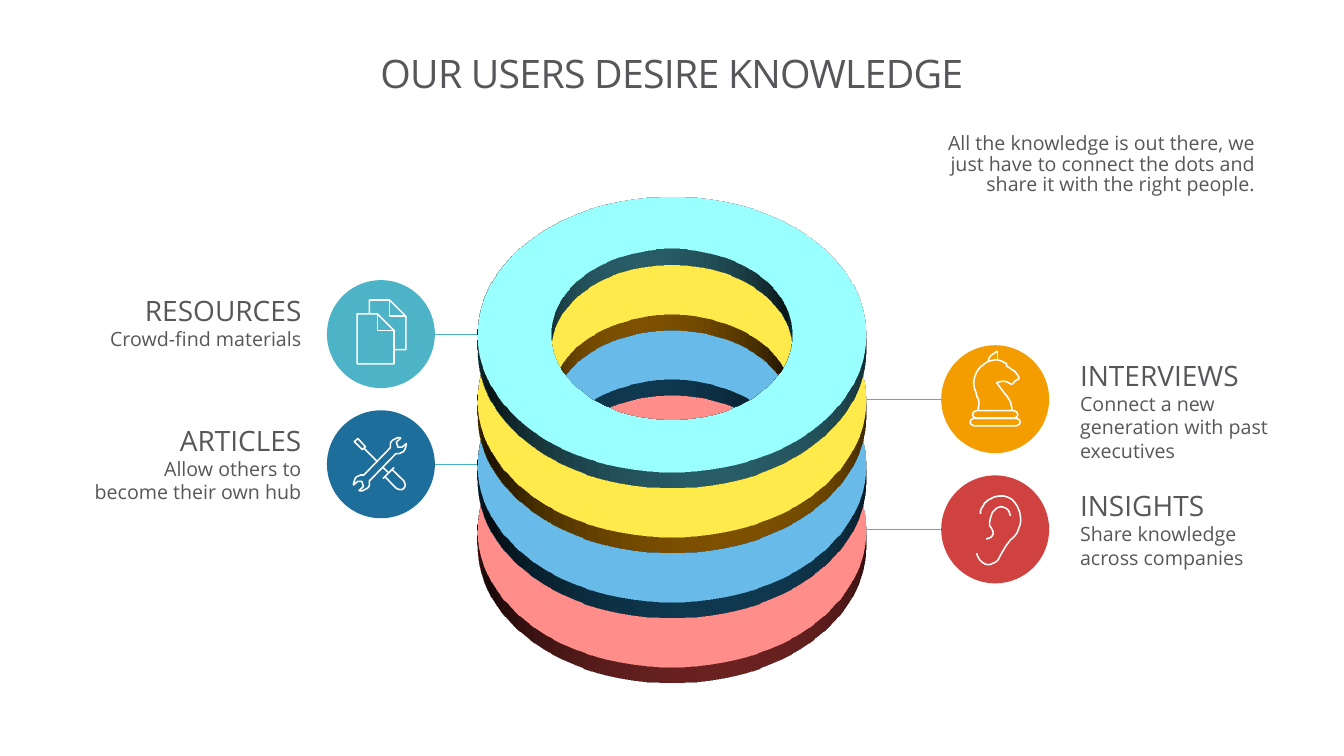
from dataclasses import dataclass
from lxml import etree
from pptx import Presentation, util as u
from pptx.dml.color import RGBColor
from pptx.enum import shapes, text
from pptx.oxml.ns import qn


@dataclass
class Theme:
    font: str = "Open Sans"
    ink: str = "57565A"
    white: str = "FFFFFF"
    line: str = "48B1C6"
    teal: str = "4DB3C7"
    gold: str = "F49D00"
    blue: str = "1D6E9B"
    red: str = "CF423F"
    title: int = 28
    head: int = 20
    body: int = 14


theme = Theme()
rgb = RGBColor.from_string
side = text.PP_ALIGN


def write(box, lines, align, gap=None):
    left, top, width, height = map(u.Cm, box)
    shape = deck.add_textbox(left, top, width, height)
    frame = shape.text_frame
    frame.text = "\n".join(line for line, size in lines)
    frame.word_wrap = True
    for para, (line, size) in zip(frame.paragraphs, lines):
        para.alignment = align
        if gap:
            para.line_spacing = gap
        font = para.runs[0].font
        font.name, font.size = theme.font, u.Pt(size)
        font.color.rgb = rgb(theme.ink)
    return frame


def bend(pts, steps=6):
    ends = [pts[0], *pts, pts[-1]]
    out = [pts[0]]
    for a, b, c, d in zip(ends, ends[1:], ends[2:], ends[3:]):
        for k in range(1, steps + 1):
            t = k / steps
            out.append(tuple(
                (2 * q + (r - p) * t + (2 * p - 5 * q + 4 * r - s) * t ** 2
                 + (3 * q - p - 3 * r + s) * t ** 3) / 2
                for p, q, r, s in zip(a, b, c, d)))
    return out


docs = [
    [(-60, -51), (-9, -51), (33, -9), (33, 75), (-60, 75), (-60, -51)],
    [(-9, -51), (-9, -9), (33, -9)],
    [(-29, -51), (-29, -86), (22, -86), (63, -45), (63, 39), (33, 39)],
    [(22, -86), (22, -45), (63, -45)],
]
horse = [
    bend([(-43, 27), (-41, 6), (-47, -11), (-54, -44), (-42, -75), (-19, -94),
          (6, -99), (28, -90), (29, -84), (50, -69), (61, -52)]),
    [(61, -52), (50, -46)],
    bend([(50, -46), (42, -38), (25, -45), (3, -42)]),
    bend([(3, -42), (19, -21), (37, 4), (43, 27)]),
    bend([(-19, -94), (-11, -110), (6, -121)]),
    [(6, -121), (6, -99)],
]
for half, top in ((57, 29), (63, 48)):
    cap = [(half - 9, top), (half - 2, top + 4), (half, top + 10),
           (half - 2, top + 15), (half - 9, top + 19)]
    horse.append(cap + [(-x, y) for x, y in cap[::-1]] + cap[:1])
jaw = (bend([(24, -42), (25, -55), (32, -62), (44, -67), (50, -66)])
       + [(39, -56), (43, -43), (53, -43)]
       + bend([(64, -52), (62, -42), (57, -32), (44, -27), (38, -27)]))
tools = [
    jaw + [(-5 - x, -y) for x, y in jaw] + jaw[:1],
    [(-67, -57), (-58, -65), (-39, -44), (-47, -37), (-67, -57)],
    [(-43, -41), (-10, -8)],
    [(5, 8), (18, 20)],
    [(5, 36), (33, 8)],
    [(11, 32)] + bend([(39, 61), (50, 64), (58, 60), (61, 52), (58, 42)]) + [(29, 14)],
]
ear = [
    bend([(-47, 60), (-38, 78), (-19, 89), (5, 79), (19, 55), (36, 30), (55, 9),
          (64, -24), (56, -58), (36, -79), (9, -84), (-20, -72), (-35, -52), (-37, -39)]),
    bend([(39, -34), (31, -50), (14, -57), (-6, -44), (-14, -13), (-9, -2),
          (-5, 9), (-11, 20), (-23, 24)]),
]
items = [
    ("RESOURCES", "Crowd-find materials", theme.teal, docs),
    ("INTERVIEWS", "Connect a new generation with past executives", theme.gold, horse),
    ("ARTICLES", "Allow others to become their own hub", theme.blue, tools),
    ("INSIGHTS", "Share knowledge across companies", theme.red, ear),
]

show = Presentation()
show.slide_width, show.slide_height = u.Cm(33.87), u.Cm(19.05)
deck = show.slides.add_slide(show.slide_layouts[6]).shapes
step, ring, disc = 1.64, 9.8, 2.72

for row, (head, body, color, icon) in reversed(list(enumerate(items))):
    donut = deck.add_shape(shapes.MSO_SHAPE.DONUT, u.Cm(12.03),
                           u.Cm(3.53 + row * step), u.Cm(ring), u.Cm(ring))
    donut.adjustments[0] = 0.19
    donut.shadow.inherit = False
    donut.fill.solid()
    donut.fill.fore_color.rgb = rgb(color)
    donut.line.fill.background()
    props = donut.fill._xPr
    scene = etree.SubElement(props, qn("a:scene3d"))
    view = etree.SubElement(scene, qn("a:camera"), prst="orthographicFront")
    etree.SubElement(view, qn("a:rot"), lat="18900000", lon="0", rev="0")
    etree.SubElement(scene, qn("a:lightRig"), rig="threePt", dir="t")
    etree.SubElement(props, qn("a:sp3d"), extrusionH=str(u.Cm(0.56)))

for row, (head, body, color, icon) in enumerate(items):
    right = row % 2
    left, top = (23.72 if right else 8.24), 7.06 + row * step
    mid = top + disc / 2
    circle = deck.add_shape(shapes.MSO_SHAPE.OVAL, u.Cm(left), u.Cm(top),
                            u.Cm(disc), u.Cm(disc))
    circle.shadow.inherit = False
    circle.fill.solid()
    circle.fill.fore_color.rgb = rgb(color)
    circle.line.fill.background()

    start, end = (left, 21.84) if right else (left + disc, 12.03)
    link = deck.add_connector(shapes.MSO_CONNECTOR.STRAIGHT, u.Cm(start),
                              u.Cm(mid), u.Cm(end), u.Cm(mid))
    link.line.color.rgb = rgb(theme.line)
    link.line.width = u.Pt(0.75)
    etree.SubElement(link.line._get_or_add_ln().getparent(), qn("a:effectLst"))

    pen = deck.build_freeform(*icon[0][0], scale=u.Cm(0.01))
    for path in icon:
        pen.move_to(*path[0])
        pen.add_line_segments(path[1:], close=False)
    mark = pen.convert_to_shape(u.Cm(left + disc / 2), u.Cm(mid))
    mark.shadow.inherit = False
    mark.fill.background()
    mark.line.color.rgb = rgb(theme.white)
    mark.line.width = u.Pt(1.1)

    box = (26.97 if right else 2.13, top + 0.2, 5.5 if right else 5.72, 2.3)
    note = write(box, [(head, theme.head), (body, theme.body)],
                 side.RIGHT if not right else side.LEFT)
    note.auto_size = text.MSO_AUTO_SIZE.SHAPE_TO_FIT_TEXT

lead = write((23.04, 3.23, 8.92, 1.9),
             [("All the knowledge is out there, we just have to connect the dots "
               "and share it with the right people.", theme.body)], side.RIGHT, 0.89)
lead.margin_left = lead.margin_right = u.Cm(0.33)
lead.margin_top, lead.margin_bottom = u.Cm(0.13), u.Cm(0.18)
lead.auto_size = text.MSO_AUTO_SIZE.SHAPE_TO_FIT_TEXT

title = write((2.54, 0.79, 28.78, 2.26),
              [("OUR USERS DESIRE KNOWLEDGE", theme.title)], side.CENTER, 0.86)
title.vertical_anchor = text.MSO_ANCHOR.MIDDLE
title.margin_left = title.margin_right = title.margin_top = title.margin_bottom = 0
title.paragraphs[0].runs[0].font._element.set("spc", "-50")

show.save("out.pptx")
